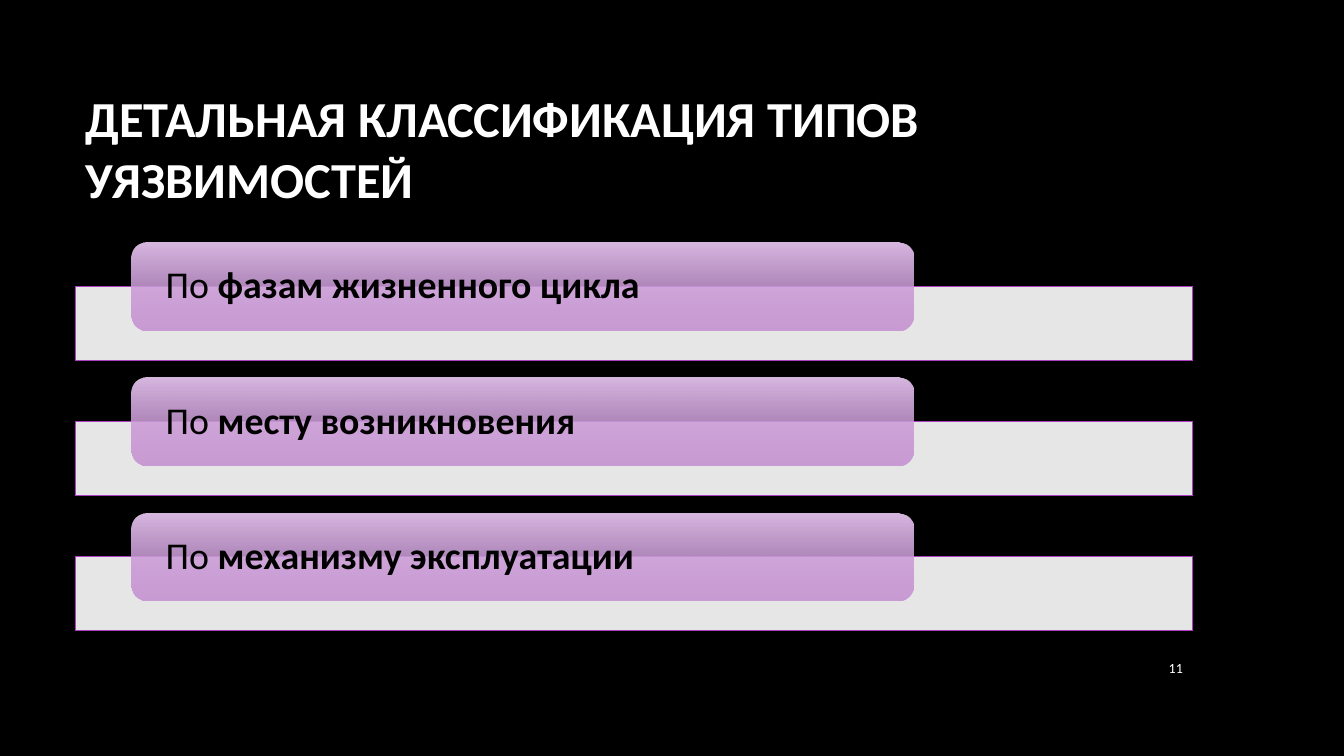
from lxml.etree import SubElement
from pptx import Presentation
from pptx.dml.color import RGBColor
from pptx.enum.shapes import MSO_SHAPE as Form
from pptx.enum.text import MSO_ANCHOR as Anchor, PP_ALIGN as Align
from pptx.oxml.ns import qn
from pptx.util import Inches, Pt

BLACK = RGBColor(0x00, 0x00, 0x00)
WHITE = RGBColor(0xFF, 0xFF, 0xFF)
PURPLE = RGBColor(0xAC, 0x3E, 0xC1)
LILAC = RGBColor(0xD8, 0xB7, 0xE1)
MAUVE = RGBColor(0xBF, 0x82, 0xCE)

TITLE = "ДЕТАЛЬНАЯ КЛАССИФИКАЦИЯ ТИПОВ УЯЗВИМОСТЕЙ"
TYPES = ["фазам жизненного цикла", "месту возникновения", "механизму эксплуатации"]


def write(shape, *runs, size, color, align=Align.LEFT, inset=(0.1, 0.05), ratio=None):
    """Fill a shape with one paragraph of (text, bold) runs."""
    frame = shape.text_frame
    frame.word_wrap = True
    frame.vertical_anchor = Anchor.MIDDLE
    frame.margin_left = frame.margin_right = Inches(inset[0])
    frame.margin_top = frame.margin_bottom = Inches(inset[1])
    para = frame.paragraphs[0]
    para.alignment = align
    if ratio:
        para.line_spacing = ratio
    for text, bold in runs:
        run = para.add_run()
        run.text = text
        font = run.font
        font.name, font.size, font.bold = "Calibri", Pt(size), bold
        font.color.rgb = color


def label(slide, box, text, **style):
    """Add a text box with one run in the given box."""
    bold = style.pop("bold", False)
    shape = slide.shapes.add_textbox(*map(Inches, box))
    write(shape, (text, bold), **style)


def block(slide, form, box):
    """Add a preset shape without shadow."""
    shape = slide.shapes.add_shape(form, *map(Inches, box))
    shape.shadow.inherit = False
    return shape


def fade(shape, color, percent):
    """Set the opacity of one fill colour in a shape."""
    for node in shape.element.spPr.iter(qn("a:srgbClr")):
        if node.get("val") == str(color):
            SubElement(node, qn("a:alpha")).set("val", str(percent * 1000))


def row(slide, left, top, width, name):
    """Draw a pale bar with a lilac pill over its upper edge."""
    bar = block(slide, Form.RECTANGLE, (left, top + 0.43, width, 0.74))
    bar.fill.solid()
    bar.fill.fore_color.rgb = WHITE
    fade(bar, WHITE, 90)
    bar.line.color.rgb = PURPLE
    bar.line.width = Pt(0.75)

    pill = block(slide, Form.ROUNDED_RECTANGLE, (left + 0.55, top, width * 0.7, 0.87))
    pill.fill.gradient()
    pill.fill.gradient_angle = 270
    for stop, color in zip(pill.fill.gradient_stops, (LILAC, MAUVE)):
        stop.color.rgb = color
    fade(pill, MAUVE, 74)
    pill.line.fill.background()
    write(pill, ("По ", False), (name, True), size=27, color=BLACK,
          inset=(0.3, 0), ratio=0.9)


def rows(slide, left, top, width, step):
    """Stack one row per type at equal steps."""
    for i, name in enumerate(TYPES):
        row(slide, left, top + i * step, width, name)


def main():
    """Build the slide and save it."""
    deck = Presentation()
    deck.slide_width, deck.slide_height = Inches(13.33), Inches(7.5)
    slide = deck.slides.add_slide(deck.slide_layouts[6])
    back = slide.background.fill
    back.solid()
    back.fore_color.rgb = BLACK
    label(slide, (0.75, 0.67, 11.08, 1.59), TITLE, size=36, color=WHITE, bold=True)
    rows(slide, 0.75, 2.41, 11.08, 1.34)
    label(slide, (11.23, 6.42, 0.6, 0.41), "11", size=10, color=WHITE, align=Align.RIGHT)
    deck.save("out.pptx")


if __name__ == "__main__":
    main()
